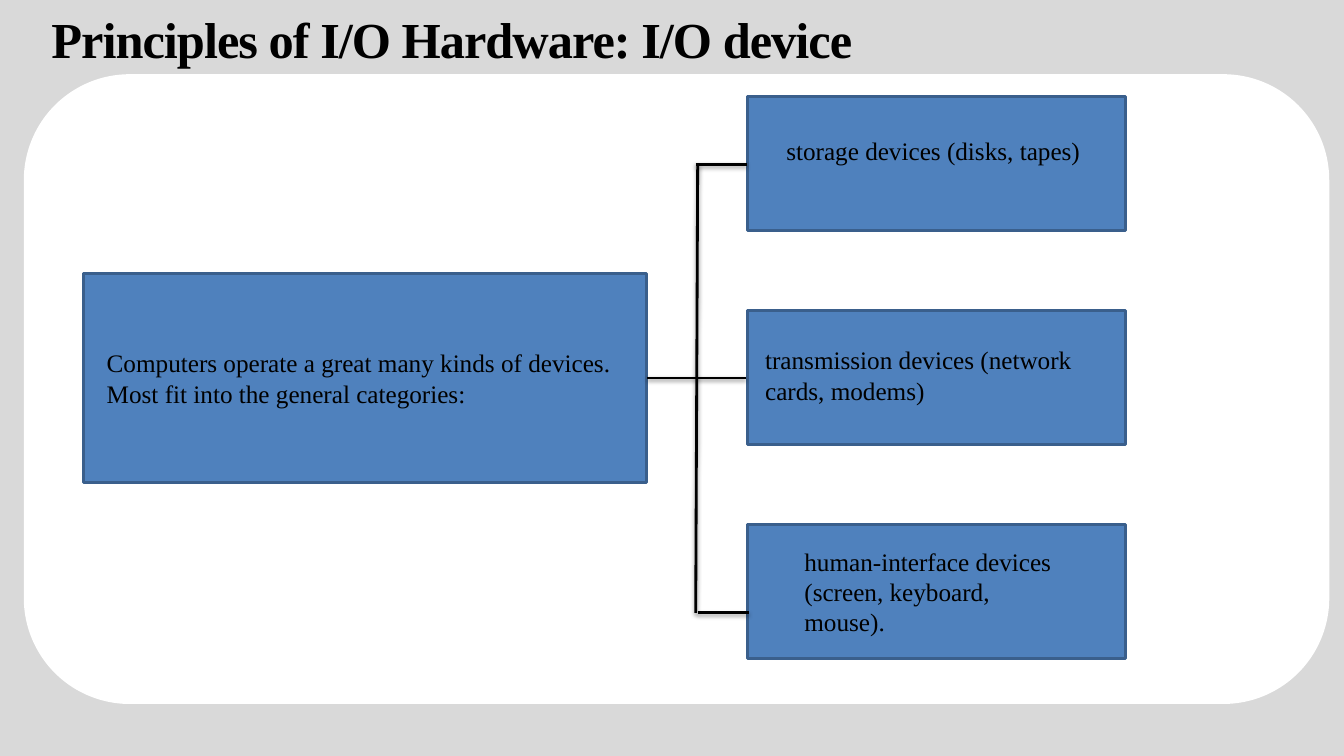
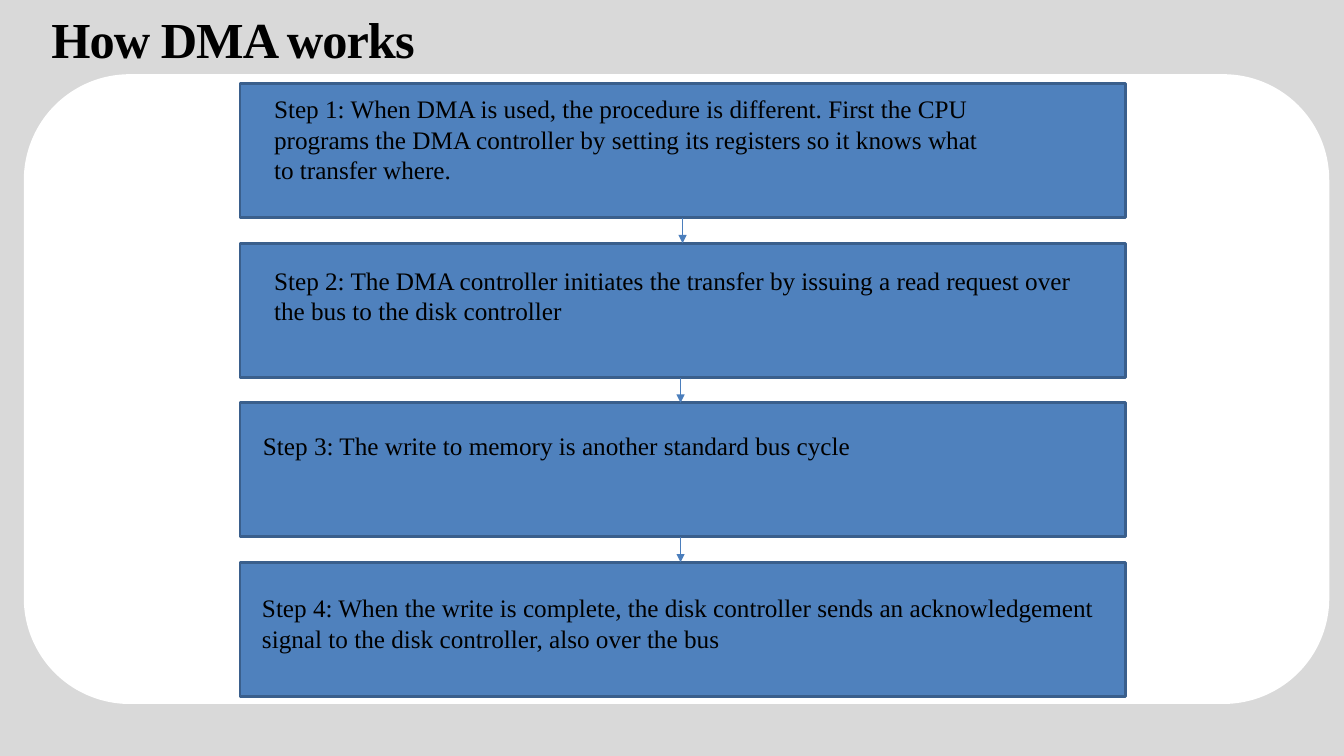
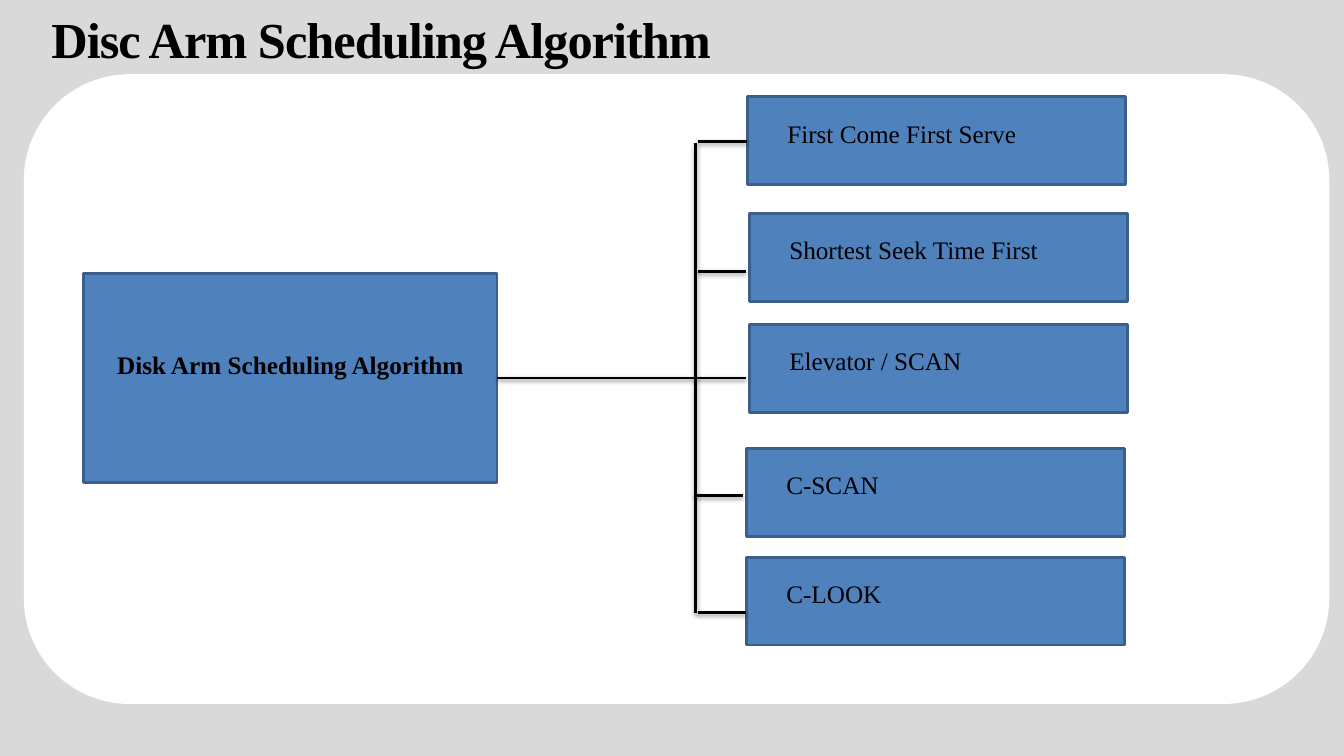
from lxml import etree
from pptx import Presentation
from pptx.dml.color import RGBColor
from pptx.enum.shapes import MSO_CONNECTOR, MSO_SHAPE
from pptx.enum.text import MSO_ANCHOR, MSO_AUTO_SIZE, PP_ALIGN
from pptx.oxml import parse_xml
from pptx.oxml.ns import nsdecls, qn
from pptx.util import Inches, Pt

RECTANGLE = MSO_SHAPE.RECTANGLE
ROUNDED = MSO_SHAPE.ROUNDED_RECTANGLE
STRAIGHT = MSO_CONNECTOR.STRAIGHT
TOP = MSO_ANCHOR.TOP
GROW = MSO_AUTO_SIZE.SHAPE_TO_FIT_TEXT
LEFT, CENTER = PP_ALIGN.LEFT, PP_ALIGN.CENTER

GRAY = RGBColor(0xD9, 0xD9, 0xD9)
WHITE = RGBColor(0xFF, 0xFF, 0xFF)
BLACK = RGBColor(0x00, 0x00, 0x00)
BLUE = RGBColor(0x4F, 0x81, 0xBD)
BORDER = RGBColor(0x3A, 0x5F, 0x8C)
ARROW = RGBColor(0x4B, 0x7E, 0xBC)
FONT = "Times New Roman"

SHADOW = (
    f'<a:effectLst {nsdecls("a")}>'
    '<a:outerShdw blurRad="39370" dist="20320" dir="5400000" rotWithShape="0">'
    '<a:srgbClr val="000000"><a:alpha val="38000"/></a:srgbClr>'
    '</a:outerShdw></a:effectLst>'
)
NO_SHADOW = f'<a:effectLst {nsdecls("a")}/>'


def write(frame, text, size=18, bold=False, align=LEFT, spacing=None):
    frame.word_wrap = True
    frame.auto_size = GROW
    frame.vertical_anchor = TOP
    paragraph = frame.paragraphs[0]
    paragraph.alignment = align
    span = paragraph.add_run()
    span.text = text
    span.font.name = FONT
    span.font.size = Pt(size)
    span.font.bold = bold
    span.font.color.rgb = BLACK
    if spacing is not None:
        span.font._element.set("spc", str(int(spacing * 100)))


def connect(page, ends, color=BLACK, width=2, effect=SHADOW, arrow=False):
    connector = page.shapes.add_connector(STRAIGHT, *map(Inches, ends))
    connector.line.color.rgb = color
    connector.line.width = Pt(width)
    properties = connector.element.spPr
    if arrow:
        etree.SubElement(properties.find(qn("a:ln")), qn("a:tailEnd"), type="triangle")
    properties.append(parse_xml(effect))


device_blocks = [(0.83, 2.71, 5.58, 2.08)]
device_blocks += [(7.41, 0.96 + 2.12 * row, 3.75, 1.33) for row in range(3)]
device_labels = [
    (0.96, 3.4, 5.32, 0.71, "Computers operate a great many kinds of devices. Most fit into the general categories:"),
    (7.7, 1.29, 3.15, 0.4, "storage devices (disks, tapes)"),
    (7.49, 3.37, 3.57, 0.71, "transmission devices (network cards, modems)"),
    (7.88, 5.37, 2.8, 1.01, "human-interface devices (screen, keyboard, mouse)."),
]
device_lines = [
    (6.42, 3.75, 7.4, 3.75),
    (6.9, 6.08, 6.92, 1.63),
    (6.9, 1.63, 7.41, 1.63),
    (6.92, 6.08, 7.43, 6.08),
]

step_tops = [0.83 + 1.583 * step for step in range(4)]
step_blocks = [(2.38, top, 8.78, 1.33) for top in step_tops]
step_labels = [
    (2.62, 0.88, 7.36, 1.01, "Step 1: When DMA is used, the procedure is different. First the CPU programs the DMA controller by setting its registers so it knows what to transfer where."),
    (2.62, 2.58, 8.35, 0.71, "Step 2: The DMA controller initiates the transfer by issuing a read request over the bus to the disk controller"),
    (2.51, 4.22, 6.55, 0.4, "Step 3: The write to memory is another standard bus cycle"),
    (2.5, 5.83, 8.58, 0.71, "Step 4: When the write is complete, the disk controller sends an acknowledgement signal to the disk controller, also over the bus"),
]
step_lines = [
    (center, top - 0.25, center, top)
    for center, top in zip((6.77, 6.75, 6.75), step_tops[1:])
]

algorithms = [
    (7.41, 0.96, "First Come First Serve"),
    (7.43, 2.12, "Shortest Seek Time First"),
    (7.43, 3.22, "Elevator / SCAN"),
    (7.4, 4.45, "C-SCAN"),
    (7.4, 5.53, "C-LOOK"),
]
algorithm_blocks = [(0.83, 2.71, 4.1, 2.08)]
algorithm_blocks += [(left, top, 3.75, 0.87) for left, top, name in algorithms]
algorithm_labels = [
    (left + 0.3, top + 0.16, 3.15, 0.4, name) for left, top, name in algorithms
]
algorithm_lines = [
    (4.93, 3.75, 7.4, 3.75),
    (6.9, 6.08, 6.9, 1.42),
    (6.92, 1.4, 7.41, 1.4),
    (6.92, 2.69, 7.4, 2.69),
    (6.89, 4.92, 7.37, 4.92),
    (6.92, 6.08, 7.4, 6.08),
]

arrow_format = dict(color=ARROW, width=0.75, effect=NO_SHADOW, arrow=True)
slides = [
    ("Principles of I/O Hardware: I/O device", device_blocks, device_labels, device_lines, {}),
    ("How DMA works", step_blocks, step_labels, step_lines, arrow_format),
    ("Disc Arm Scheduling Algorithm", algorithm_blocks, algorithm_labels, algorithm_lines, {}),
]

deck = Presentation()
deck.slide_width = Inches(13.33)
deck.slide_height = Inches(7.5)
layout = deck.slide_layouts[5]
layout.background.fill.solid()
layout.background.fill.fore_color.rgb = GRAY
pages = [deck.slides.add_slide(layout) for slide in slides]

panel = pages[0].shapes.add_shape(ROUNDED, Inches(0.25), Inches(0.75), Inches(12.92), Inches(6.22))
panel.shadow.inherit = False
panel.fill.solid()
panel.fill.fore_color.rgb = WHITE
panel.line.color.rgb = WHITE
panel.line.width = Pt(2)
layout.shapes.element.insert(2, panel.element)

for page, (heading, blocks, labels, lines, line_format) in zip(pages, slides):
    title = page.shapes.title
    title.left, title.top = Inches(0.5), Inches(0.07)
    title.width, title.height = Inches(8.78), Inches(0.62)
    frame = title.text_frame
    frame.margin_left = frame.margin_top = Inches(0.01)
    frame.margin_right = frame.margin_bottom = 0
    write(frame, heading, size=36, bold=True, spacing=-0.7)

    for place in blocks:
        block = page.shapes.add_shape(RECTANGLE, *map(Inches, place))
        block.shadow.inherit = False
        block.fill.solid()
        block.fill.fore_color.rgb = BLUE
        block.line.color.rgb = BORDER
        block.line.width = Pt(2)
    for *place, text in labels:
        box = page.shapes.add_textbox(*map(Inches, place))
        write(box.text_frame, text)
    for ends in lines:
        connect(page, ends, **line_format)

root_label = pages[2].shapes.add_textbox(Inches(0.22), Inches(3.42), Inches(5.32), Inches(0.4))
write(root_label.text_frame, "Disk Arm Scheduling Algorithm", bold=True, align=CENTER)

deck.save("out.pptx")
